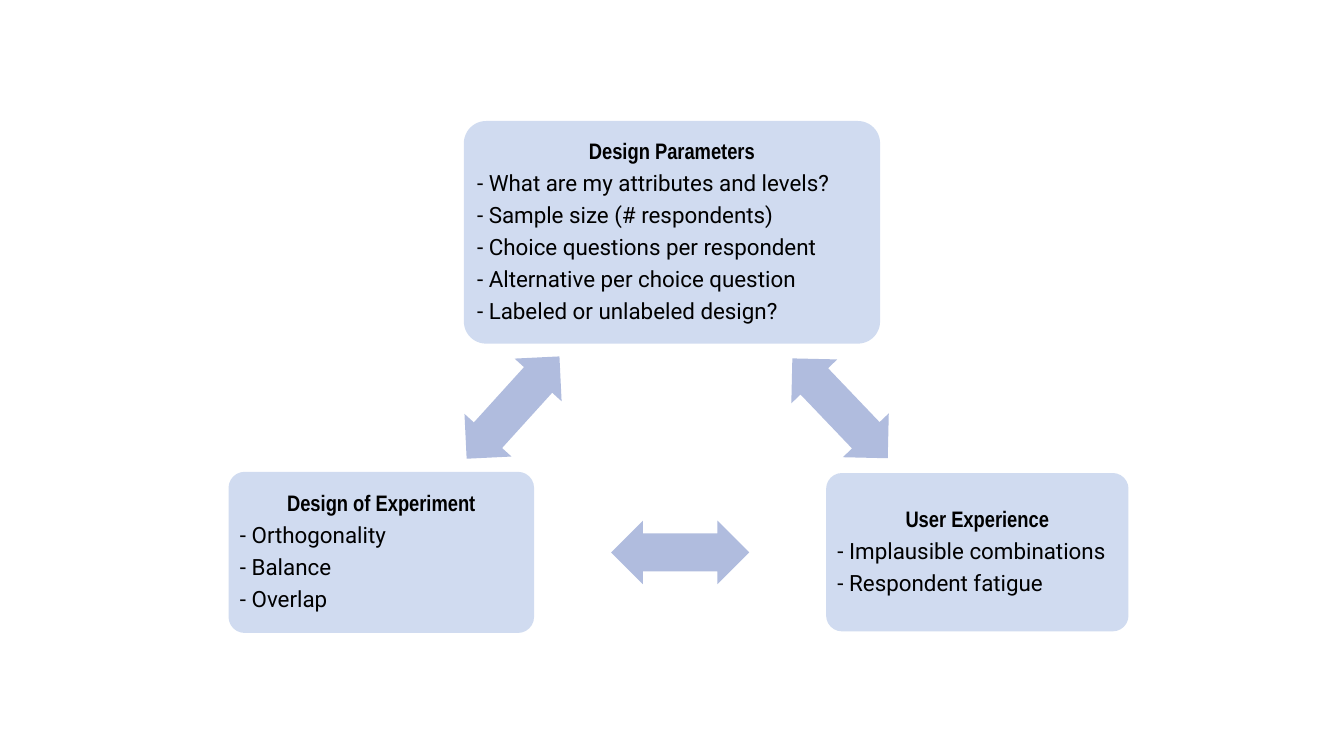
"""Build the slide on the three linked sides of designing a choice experiment."""
from lxml import etree
from pptx import Presentation
from pptx import util as u
from pptx.dml.color import RGBColor
from pptx.enum import shapes, text
from pptx.oxml import ns

COLORS = {"box": "4472C4", "arrow": "B0BCDE", "text": "000000"}
BOX_ALPHA = 25000
ARROW_W, ARROW_H = 3.48, 1.6

BOXES = [
    ("Design Parameters", (11.69, 3.05, 10.49, 5.61), [
        "What are my attributes and levels?",
        "Sample size (# respondents)",
        "Choice questions per respondent",
        "Alternative per choice question",
        "Labeled or unlabeled design?",
    ]),
    ("User Experience", (20.82, 11.92, 7.62, 3.99), [
        "Implausible combinations",
        "Respondent fatigue",
    ]),
    ("Design of Experiment", (5.76, 11.89, 7.7, 4.06), [
        "Orthogonality",
        "Balance",
        "Overlap",
    ]),
]
ARROWS = [(19.43, 9.49, 46.3), (15.4, 13.12, 180), (11.19, 9.47, 312.2)]


def write(p, words, font="Roboto", bold=False, align=text.PP_ALIGN.LEFT):
    p.alignment = align
    p.line_spacing = 0.9
    p.space_after = u.Pt(5.6)
    r = p.add_run()
    r.text = words
    r.font.name = font
    r.font.size = u.Pt(16)
    r.font.bold = bold
    r.font.color.rgb = RGBColor.from_string(COLORS["text"])


def add_shape(kind, box, color):
    sp = s.shapes.add_shape(kind, *map(u.Cm, box))
    sp.shadow.inherit = False
    sp.fill.solid()
    sp.fill.fore_color.rgb = RGBColor.from_string(COLORS[color])
    sp.line.fill.background()
    return sp


prs = Presentation()
prs.slide_width, prs.slide_height = u.Cm(33.87), u.Cm(19.05)
s = prs.slides.add_slide(prs.slide_layouts[6])

for heading, box, points in BOXES:
    sp = add_shape(shapes.MSO_SHAPE.ROUNDED_RECTANGLE, box, "box")
    sp.adjustments[0] = 0.1
    rgb = sp.element.spPr.find(".//" + ns.qn("a:srgbClr"))
    etree.SubElement(rgb, ns.qn("a:alpha"), val=str(BOX_ALPHA))
    tf = sp.text_frame
    tf.word_wrap = True
    tf.vertical_anchor = text.MSO_ANCHOR.MIDDLE
    tf.margin_left = tf.margin_right = u.Cm(0.17)
    tf.margin_top = tf.margin_bottom = u.Cm(0.17)
    write(tf.paragraphs[0], heading, font="Arial Narrow", bold=True,
          align=text.PP_ALIGN.CENTER)
    for point in points:
        write(tf.add_paragraph(), f"- {point}")

for left, top, angle in ARROWS:
    sp = add_shape(shapes.MSO_SHAPE.LEFT_RIGHT_ARROW,
                   (left, top, ARROW_W, ARROW_H), "arrow")
    sp.adjustments[0], sp.adjustments[1] = 0.6, 0.5
    sp.rotation = angle

prs.save("out.pptx")
